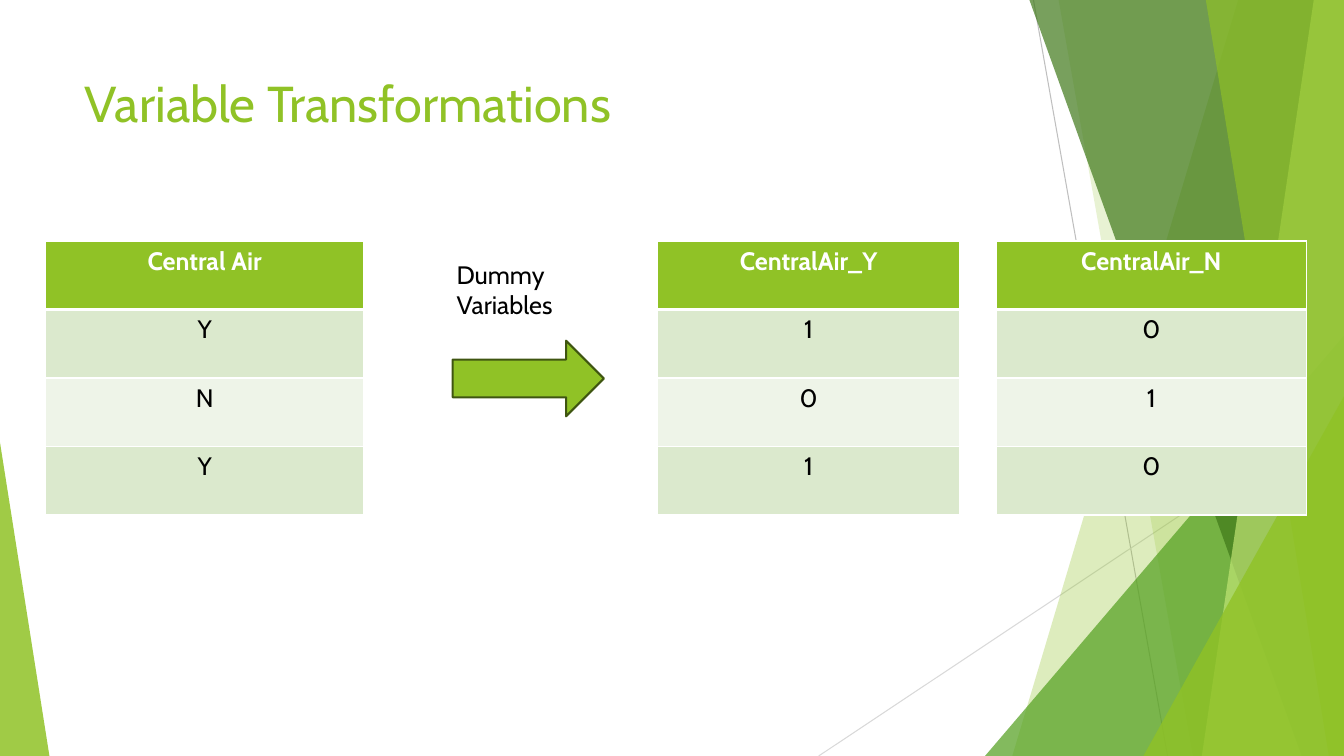
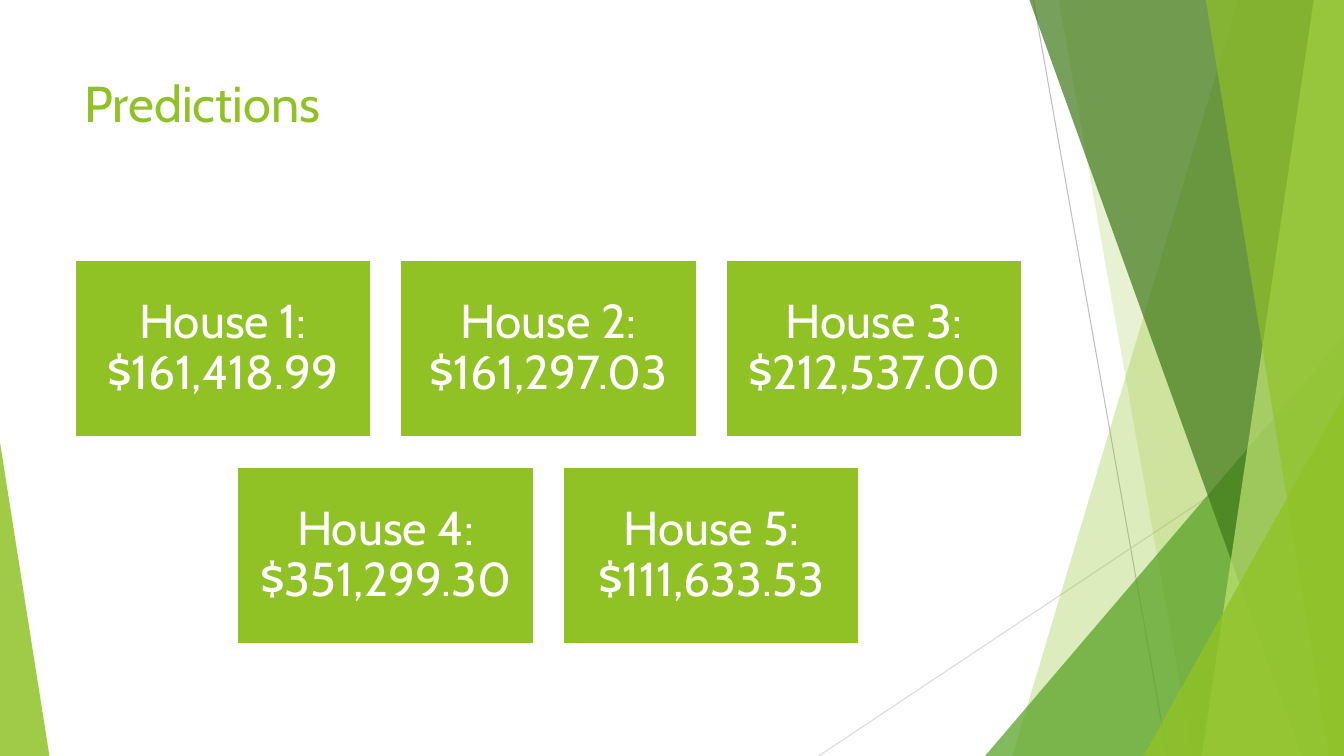
import lxml.etree
import pptx
import pptx.dml.color
import pptx.enum.shapes
import pptx.enum.text
import pptx.oxml.ns
import pptx.util

Inches = pptx.util.Inches
Pt = pptx.util.Pt
RGBColor = pptx.dml.color.RGBColor
ShapeType = pptx.enum.shapes.MSO_SHAPE
Align = pptx.enum.text.PP_ALIGN
qn = pptx.oxml.ns.qn

COLORS = {
    "green": "90C226", "leaf": "54A021", "forest": "3F7819", "lime": "C0E474",
    "outline": "3F5511", "band_dark": "DBE9CD", "band_light": "EEF4E8",
    "gray": "BFBFBF", "light_gray": "D9D9D9", "white": "FFFFFF", "black": "000000",
}
WIDTH, HEIGHT = 13.33, 7.5


def style_shape(shape, color, opacity=100, line=None):
    """Fill a shape without shadow; outline it 1.5 points wide if a line colour is given."""
    shape.shadow.inherit = False
    shape.fill.solid()
    shape.fill.fore_color.rgb = RGBColor.from_string(COLORS[color])
    if opacity < 100:
        color_element = shape.fill._xPr.find(qn("a:solidFill"))[0]
        lxml.etree.SubElement(color_element, qn("a:alpha"), val=str(opacity * 1000))
    if line:
        shape.line.color.rgb = RGBColor.from_string(COLORS[line])
        shape.line.width = Pt(1.5)
    else:
        shape.line.fill.background()


def write_text(text_frame, text, size=18, color="black", bold=False, align=Align.LEFT):
    text_frame.word_wrap = True
    paragraph = text_frame.paragraphs[0]
    paragraph.alignment = align
    run = paragraph.add_run()
    run.text = text
    run.font.name = "Cabin"
    run.font.size = Pt(size)
    run.font.bold = bold
    run.font.color.rgb = RGBColor.from_string(COLORS[color])


presentation = pptx.Presentation()
presentation.slide_width = Inches(WIDTH)
presentation.slide_height = Inches(HEIGHT)

# Shared backdrop and titles
hairlines = [
    (10.25, 0, 11.58, HEIGHT, "gray"),
    (WIDTH, 4.03, 8.12, HEIGHT, "light_gray"),
]
# Blades reach the right edge: (top x, bottom x). Triangles stand on the
# bottom edge: (left, top, width, apex position).
facets = [
    ("blade", (12.28, 10.04), "green", 30),
    ("blade", (10.5, 11.83), "green", 20),
    ("triangle", (9.77, 3.33, 3.56, 1), "leaf", 72),
    ("blade", (10.21, 12.91), "forest", 70),
    ("blade", (13.03, 11.92), "lime", 70),
    ("blade", (11.96, 13.18), "green", 65),
    ("triangle", (11.34, 3.93, 1.99, 1), "green", 80),
    ("triangle", (0, 4.39, 0.49, 0), "green", 85),
]
slides = []
for title in ("Variable Transformations", "Predictions"):
    slide = presentation.slides.add_slide(presentation.slide_layouts[6])
    slides.append(slide)
    for start_x, start_y, end_x, end_y, color in hairlines:
        connector = slide.shapes.add_connector(
            pptx.enum.shapes.MSO_CONNECTOR.STRAIGHT,
            Inches(start_x), Inches(start_y), Inches(end_x), Inches(end_y))
        connector.line.color.rgb = RGBColor.from_string(COLORS[color])
        connector.line.width = Pt(0.75)
        lxml.etree.SubElement(connector._element.spPr, qn("a:effectLst"))
    for kind, geometry, color, opacity in facets:
        if kind == "blade":
            top_x, bottom_x = geometry
            builder = slide.shapes.build_freeform(Inches(top_x), 0)
            corners = [(WIDTH, 0), (WIDTH, HEIGHT), (bottom_x, HEIGHT)]
            builder.add_line_segments([(Inches(x), Inches(y)) for x, y in corners])
            facet = builder.convert_to_shape()
        else:
            left, top, width, apex = geometry
            facet = slide.shapes.add_shape(
                ShapeType.ISOSCELES_TRIANGLE, Inches(left), Inches(top),
                Inches(width), Inches(HEIGHT - top))
            facet.adjustments[0] = apex
        style_shape(facet, color, opacity)
    title_box = slide.shapes.add_textbox(Inches(0.74), Inches(0.67), Inches(9.4), Inches(1.44))
    write_text(title_box.text_frame, title, size=36, color="green")

transformations, predictions = slides

# Variable Transformations: one column becomes two dummy columns
ROW_HEIGHT = 0.68
tables = [
    (0.45, 3.16, ["Central Air", "Y", "N", "Y"]),
    (6.52, 3, ["CentralAir_Y", "1", "0", "1"]),
    (9.88, 3.08, ["CentralAir_N", "0", "1", "0"]),
]
for left, width, values in tables:
    table = transformations.shapes.add_table(
        len(values), 1, Inches(left), Inches(2.39),
        Inches(width), Inches(ROW_HEIGHT * len(values))).table
    for row, value in enumerate(values):
        cell = table.cell(row, 0)
        header = row == 0
        thick_side = {0: "lnB", 1: "lnT"}.get(row)
        properties = cell._tc.get_or_add_tcPr()
        for side in ("lnL", "lnR", "lnT", "lnB"):
            points = 3 if side == thick_side else 1
            border = lxml.etree.SubElement(properties, qn("a:" + side), w=str(Pt(points)))
            border_fill = lxml.etree.SubElement(border, qn("a:solidFill"))
            lxml.etree.SubElement(border_fill, qn("a:srgbClr"), val=COLORS["white"])
        band = "green" if header else "band_dark" if row % 2 else "band_light"
        cell.fill.solid()
        cell.fill.fore_color.rgb = RGBColor.from_string(COLORS[band])
        write_text(cell.text_frame, value, color="white" if header else "black",
                   bold=header, align=Align.CENTER)

arrow = transformations.shapes.add_shape(
    ShapeType.RIGHT_ARROW, Inches(4.49), Inches(3.38), Inches(1.5), Inches(0.75))
style_shape(arrow, "green", line="outline")
arrow_label = transformations.shapes.add_textbox(
    Inches(4.43), Inches(2.52), Inches(1.5), Inches(0.71))
write_text(arrow_label.text_frame, "Dummy Variables")

# Predictions: centred rows of cards
CARD_WIDTH, CARD_HEIGHT, CARD_GAP = 2.94, 1.76, 0.29
CARDS_CENTER, CARDS_TOP = 5.44, 2.58
card_rows = [
    ["House 1: $161,418.99", "House 2: $161,297.03", "House 3: $212,537.00"],
    ["House 4: $351,299.30", "House 5: $111,633.53"],
]
for row, texts in enumerate(card_rows):
    row_width = len(texts) * (CARD_WIDTH + CARD_GAP) - CARD_GAP
    top = CARDS_TOP + row * (CARD_HEIGHT + CARD_GAP)
    for column, text in enumerate(texts):
        left = CARDS_CENTER - row_width / 2 + column * (CARD_WIDTH + CARD_GAP)
        card = predictions.shapes.add_shape(
            ShapeType.RECTANGLE, Inches(left), Inches(top),
            Inches(CARD_WIDTH), Inches(CARD_HEIGHT))
        style_shape(card, "green", line="white")
        frame = card.text_frame
        frame.margin_left = frame.margin_right = Inches(0.14)
        frame.margin_top = frame.margin_bottom = Inches(0.14)
        frame.vertical_anchor = pptx.enum.text.MSO_ANCHOR.MIDDLE
        write_text(frame, text, size=34, color="white", align=Align.CENTER)
        frame.paragraphs[0].line_spacing = 0.9

presentation.save("out.pptx")
